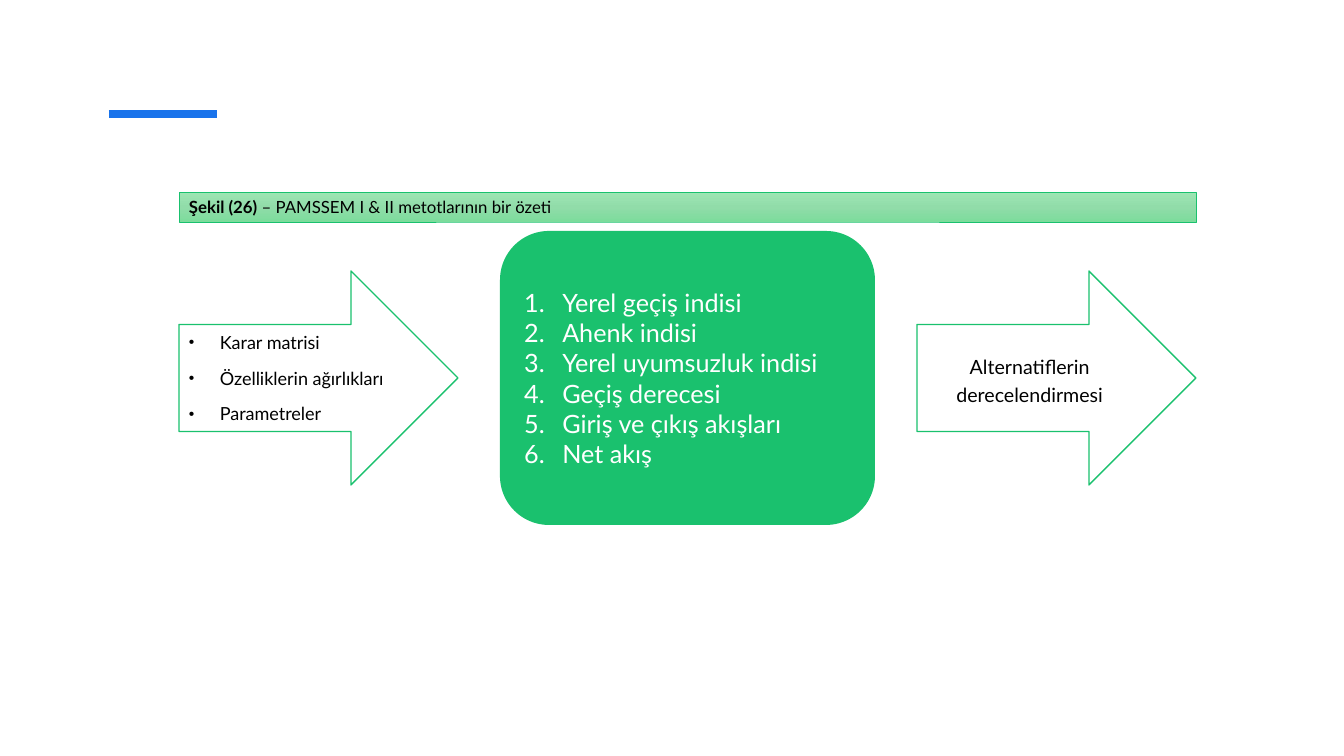
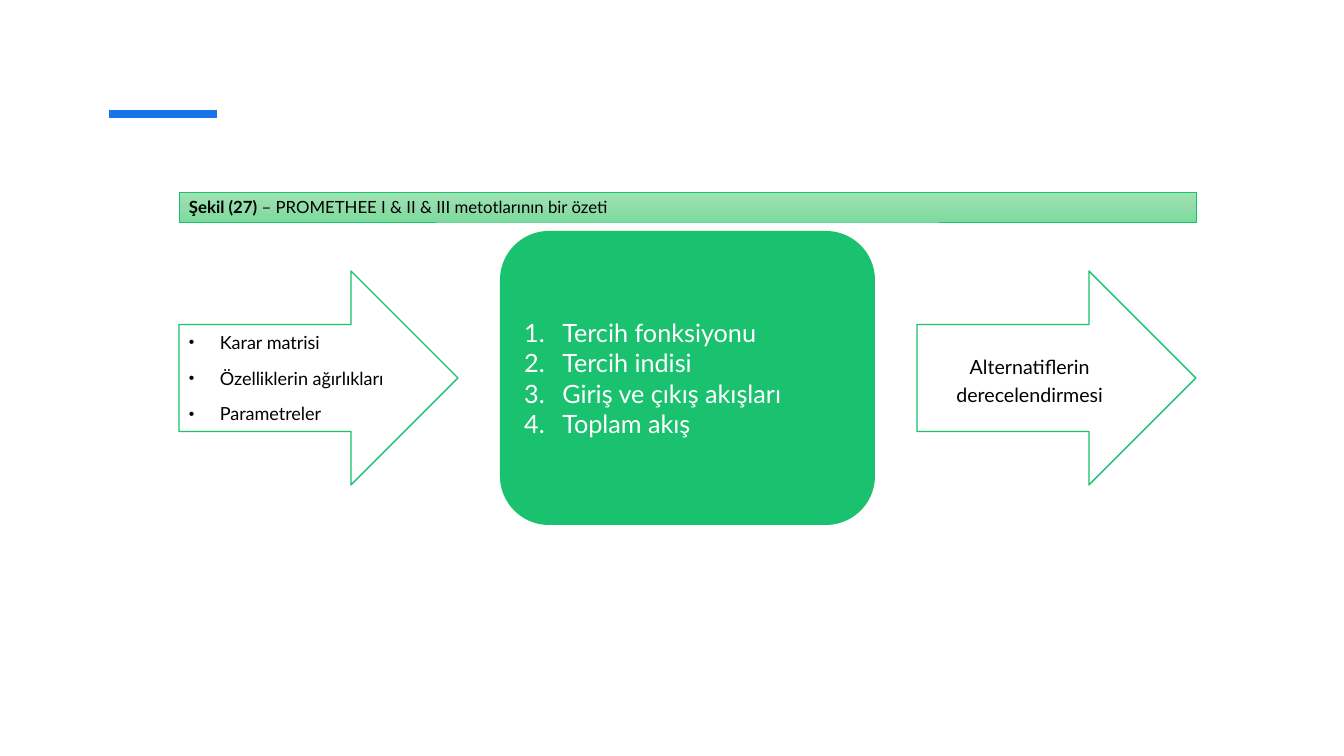
import copy

import pptx
import pptx.dml.color
import pptx.enum.dml
import pptx.enum.shapes
import pptx.enum.text
import pptx.oxml
import pptx.oxml.ns
import pptx.util

RGBColor = pptx.dml.color.RGBColor
Shapes = pptx.enum.shapes.MSO_SHAPE
Align = pptx.enum.text.PP_ALIGN
Pt = pptx.util.Pt
qn = pptx.oxml.ns.qn

EMU_PER_PX = 914400 / 100.8
FONT = "Lato"
BLACK = RGBColor(0x00, 0x00, 0x00)
WHITE = RGBColor(0xFF, 0xFF, 0xFF)
BLUE = RGBColor(0x19, 0x73, 0xEB)
GREEN = RGBColor(0x1A, 0xC1, 0x6E)
CAPTION_STOPS = [
    (0, RGBColor(0x9E, 0xE6, 0xB4)),
    (0.5, RGBColor(0x91, 0xDC, 0xA9)),
    (1, RGBColor(0x7C, 0xDC, 0x9C)),
]

DIAGRAM_BOX = (179, 192, 1017, 333)
CAPTION_HEIGHT = 30
CAPTION_GAP = 9
ARROW_WIDTH = 279
ARROW_HEIGHT = 214
STEPS_WIDTH = 375

INPUTS = ["Karar matrisi", "Özelliklerin ağırlıkları", "Parametreler"]
OUTPUT = "Alternatiflerin derecelendirmesi"
SUMMARIES = [
    ("Şekil (26)", " – PAMSSEM I & II metotlarının bir özeti", [
        "Yerel geçiş indisi", "Ahenk indisi", "Yerel uyumsuzluk indisi",
        "Geçiş derecesi", "Giriş ve çıkış akışları", "Net akış"]),
    ("Şekil (27)", " – PROMETHEE I & II & III metotlarının bir özeti", [
        "Tercih fonksiyonu", "Tercih indisi", "Giriş ve çıkış akışları",
        "Toplam akış"]),
]


def px(length):
    """Turn pixels into EMU."""
    return round(length * EMU_PER_PX)


def add_box(slide, kind, box, fill=None, line=None, line_width=1):
    """Add a flat shape with wrapped, vertically centred text."""
    shape = slide.shapes.add_shape(kind, *map(px, box))
    shape.shadow.inherit = False
    if fill is not None:
        shape.fill.solid()
        shape.fill.fore_color.rgb = fill
    if line is None:
        shape.line.fill.background()
    else:
        shape.line.color.rgb = line
        shape.line.width = Pt(line_width)
    shape.text_frame.word_wrap = True
    shape.text_frame.vertical_anchor = pptx.enum.text.MSO_ANCHOR.MIDDLE
    return shape


def style_text(shape, size, color, align=Align.LEFT, space_before=0, line_spacing=1.0):
    """Format every paragraph and run of a shape."""
    for paragraph in shape.text_frame.paragraphs:
        paragraph.alignment = align
        paragraph.space_before = Pt(space_before)
        paragraph.line_spacing = line_spacing
        for run in paragraph.runs:
            run.font.name = FONT
            run.font.size = Pt(size)
            run.font.color.rgb = color


def add_bullets(shape, indent, markers):
    """Give every paragraph a hanging indent and the marker elements."""
    for paragraph in shape.text_frame.paragraphs:
        properties = paragraph._p.get_or_add_pPr()
        properties.set("marL", str(px(indent)))
        properties.set("indent", str(-px(indent)))
        for tag, attributes in markers:
            element = pptx.oxml.parse_xml(f"<{tag} {pptx.oxml.ns.nsdecls('a')}/>")
            for name, value in attributes.items():
                element.set(name, value)
            properties.append(element)


def add_accent(slide):
    """Draw the short blue line at the top left."""
    connector = slide.shapes.add_connector(
        pptx.enum.shapes.MSO_CONNECTOR.STRAIGHT, px(109), px(114), px(217), px(114))
    connector.line.color.rgb = BLUE
    connector.line.width = Pt(6)
    connector._element.spPr.append(
        pptx.oxml.parse_xml(f"<a:effectLst {pptx.oxml.ns.nsdecls('a')}/>"))


def add_caption(slide, box, label, description):
    """Add the gradient caption band with a bold label."""
    shape = add_box(slide, Shapes.RECTANGLE, box, line=GREEN, line_width=0.5)
    shape.fill.gradient()
    shape.fill.gradient_angle = 270
    stop_list = shape._element.spPr.find(".//" + qn("a:gsLst"))
    stop_list.insert(1, copy.deepcopy(stop_list[0]))
    for stop, (position, color) in zip(shape.fill.gradient_stops, CAPTION_STOPS):
        stop.position = position
        stop.color.rgb = color
    shape.text_frame.auto_size = pptx.enum.text.MSO_AUTO_SIZE.SHAPE_TO_FIT_TEXT
    paragraph = shape.text_frame.paragraphs[0]
    for text, bold in ((label, True), (description, False)):
        run = paragraph.add_run()
        run.text = text
        run.font.bold = bold
    style_text(shape, 12, BLACK)


def add_inputs(slide, box):
    """Add the arrow that lists the inputs."""
    shape = add_box(slide, Shapes.RIGHT_ARROW, box, WHITE, GREEN)
    shape.text_frame.text = "\n".join(INPUTS)
    style_text(shape, 12.9, BLACK, space_before=10)
    add_bullets(shape, 31, [("a:buSzPct", {"val": "87000"}),
                            ("a:buFont", {"typeface": "Arial"}),
                            ("a:buChar", {"char": "•"})])


def add_output(slide, box):
    """Add the arrow that names the result."""
    shape = add_box(slide, Shapes.RIGHT_ARROW, box, WHITE, GREEN)
    shape.text_frame.text = OUTPUT
    style_text(shape, 14, BLACK, Align.CENTER, space_before=10, line_spacing=1.2)


def add_steps(slide, box, steps):
    """Add the rounded card with the numbered steps."""
    shape = add_box(slide, Shapes.ROUNDED_RECTANGLE, box, GREEN)
    shape.text_frame.text = "\n".join(steps)
    style_text(shape, 18, WHITE)
    add_bullets(shape, 38, [("a:buFont", {"typeface": "+mj-lt"}),
                            ("a:buAutoNum", {"type": "arabicPeriod"})])


def add_diagram(slide, box, label, description, steps):
    """Lay out the caption, both arrows and the steps card in a box."""
    left, top, width, height = box
    body_top = top + CAPTION_HEIGHT + CAPTION_GAP
    body_height = height - CAPTION_HEIGHT - CAPTION_GAP
    arrow_top = body_top + (body_height - ARROW_HEIGHT) // 2
    gap = (width - 2 * ARROW_WIDTH - STEPS_WIDTH) // 2
    steps_left = left + ARROW_WIDTH + gap
    output_left = steps_left + STEPS_WIDTH + gap
    add_inputs(slide, (left, arrow_top, ARROW_WIDTH, ARROW_HEIGHT))
    add_output(slide, (output_left, arrow_top, ARROW_WIDTH, ARROW_HEIGHT))
    add_steps(slide, (steps_left, body_top, STEPS_WIDTH, body_height), steps)
    add_caption(slide, (left, top, width, CAPTION_HEIGHT), label, description)


def main():
    """Build and save the presentation."""
    presentation = pptx.Presentation()
    presentation.slide_width = px(1344)
    presentation.slide_height = px(756)
    for label, description, steps in SUMMARIES:
        slide = presentation.slides.add_slide(presentation.slide_layouts[6])
        add_accent(slide)
        add_diagram(slide, DIAGRAM_BOX, label, description, steps)
    presentation.save("out.pptx")


if __name__ == "__main__":
    main()
